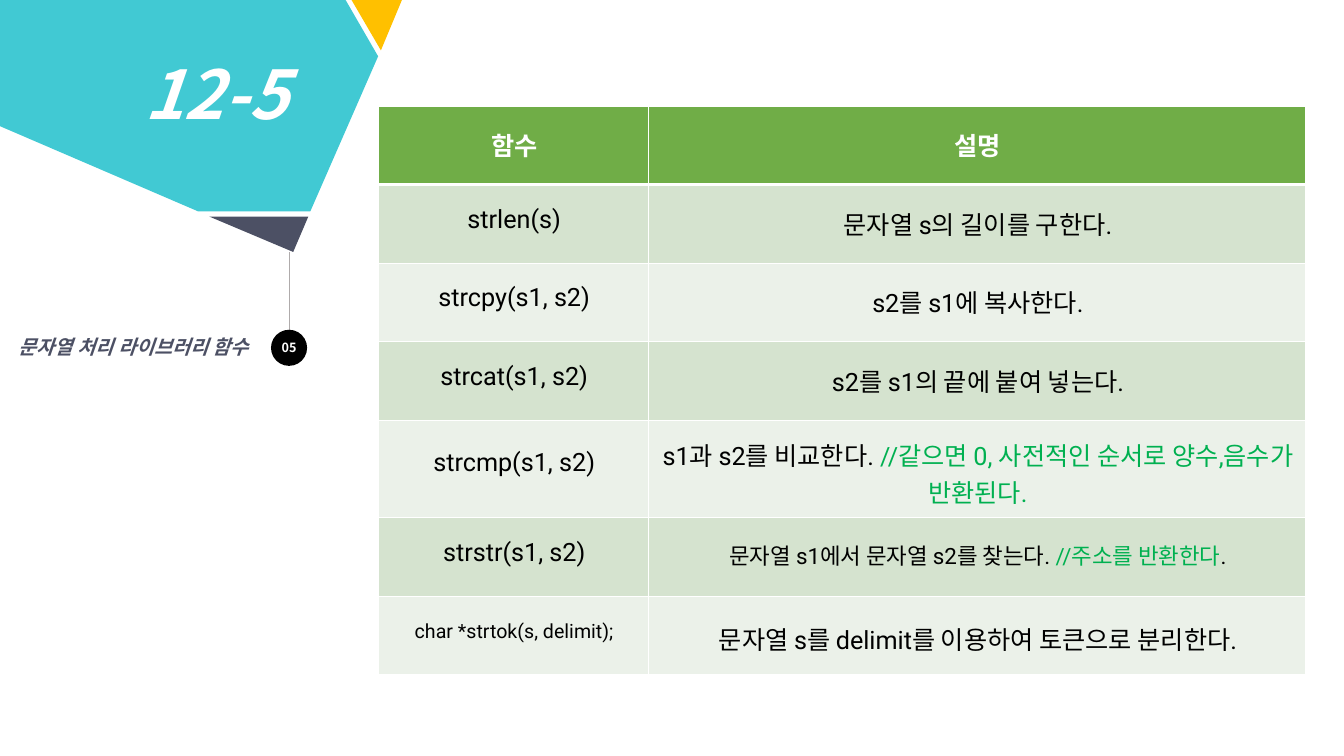
"""Build a slide with a table of C string library functions."""
import pptx
import pptx.dml.color
import pptx.enum.shapes
import pptx.enum.text
import pptx.oxml
import pptx.oxml.ns
import pptx.util
from lxml import etree

Cm = pptx.util.Cm
Pt = pptx.util.Pt
Align = pptx.enum.text.PP_ALIGN


class Theme:
    white, black, grey = "FFFFFF", "000000", "AFABAB"
    teal, gold, navy = "41C9D3", "FFC000", "4C5064"
    head, bands, note = "70AD47", ("D5E3CF", "EBF1E9"), "00B050"
    sans, hangul = "Roboto", "Noto Sans CJK KR"
    title, body, small, label, badge = 48, 18, 16, 14, 9


def paint(fill, color):
    fill.solid()
    fill.fore_color.rgb = pptx.dml.color.RGBColor.from_string(color)


def style(run, size, color, face=Theme.hangul, bold=True, slant=False):
    font = run.font
    font.size, font.name, font.bold, font.italic = Pt(size), face, bold, slant
    paint(font.fill, color)
    east = etree.SubElement(run._r.get_or_add_rPr(), pptx.oxml.ns.qn("a:ea"))
    east.set("typeface", Theme.hangul)


deck = pptx.Presentation()
deck.slide_width, deck.slide_height = Cm(33.87), Cm(19.05)
slide = deck.slides.add_slide(deck.slide_layouts[6])
shapes = slide.shapes

stem = shapes.add_connector(
    pptx.enum.shapes.MSO_CONNECTOR.STRAIGHT, Cm(7.29), Cm(6.35), Cm(7.29), Cm(9.22))
paint(stem.line.fill, Theme.grey)
stem.line.width = Pt(0.5)
etree.SubElement(stem._element.spPr, pptx.oxml.ns.qn("a:effectLst"))

shards = [
    (Theme.gold, [(886, 0), (1019, 0), (1013, 0), (960, 127)]),
    (Theme.teal, [(0, 0), (871, 0), (953, 142), (782, 533), (500, 533), (0, 318)]),
    (Theme.navy, [(528, 546), (777, 546), (739, 635)]),
]
for color, points in shards:
    pen = shapes.build_freeform(*points[0], scale=Cm(0.01))
    pen.add_line_segments(points[1:], close=True)
    shard = pen.convert_to_shape()
    shard.shadow.inherit = False
    paint(shard.fill, color)
    shard.line.fill.background()

badge = shapes.add_shape(
    pptx.enum.shapes.MSO_SHAPE.OVAL, Cm(6.83), Cm(8.31), Cm(0.91), Cm(0.91))
badge.shadow.inherit = False
paint(badge.fill, Theme.black)
badge.line.fill.background()
frame = badge.text_frame
frame.margin_left = frame.margin_right = frame.margin_top = frame.margin_bottom = 0
frame.vertical_anchor = pptx.enum.text.MSO_ANCHOR.MIDDLE
frame.text = "05"
frame.paragraphs[0].alignment = Align.CENTER
style(frame.paragraphs[0].runs[0], Theme.badge, Theme.white)

texts = [
    ("문자열 처리 라이브러리 함수", (-0.48, 8.31, 7.01, 0.86),
     Theme.label, Theme.navy, Align.RIGHT, True),
    ("12-5", (3.38, 1.19, 4.19, 2.31), Theme.title, Theme.white, Align.LEFT, False),
]
for text, box, size, color, align, wrap in texts:
    frame = shapes.add_textbox(*map(Cm, box)).text_frame
    frame.word_wrap = wrap
    frame.text = text
    frame.paragraphs[0].alignment = align
    style(frame.paragraphs[0].runs[0], size, color, slant=True)

body, small, label = Theme.body, Theme.small, Theme.label
rows = [
    (("함수", body), ("설명", body)),
    (("strlen(s)", body), ("문자열 s의 길이를 구한다.", body)),
    (("strcpy(s1, s2)", body), ("s2를 s1에 복사한다.", body)),
    (("strcat(s1, s2)", body), ("s2를 s1의 끝에 붙여 넣는다.", body)),
    (("strcmp(s1, s2)", body),
     ("s1과 s2를 비교한다. ", body, "//같으면 0, 사전적인 순서로 양수,음수가 반환된다.")),
    (("strstr(s1, s2)", body),
     ("문자열 s1에서 문자열 s2를 찾는다. ", small, "//주소를 반환한다", ".")),
    (("char *strtok(s, delimit);", label),
     ("문자열 s를 delimit를 이용하여 토큰으로 분리한다.", body)),
]
pads = {(4, 0): (0.71, 0.9), (4, 1): (0.41, 0.1), (5, 0): (0.51, 0.41),
        (5, 1): (0.51, 0.41), (6, 0): (0.61, 0.41), (6, 1): (0.61, 0.41)}
high, tall = 1.98, 2.46
grid = shapes.add_table(
    len(rows), 2, Cm(9.53), Cm(2.67), Cm(23.37), Cm(6 * high + tall)).table
for col, width in zip(grid.columns, (6.81, 16.56)):
    col.width = Cm(width)

for r, row in enumerate(rows):
    grid.rows[r].height = Cm(tall if r == 4 else high)
    for c, (text, size, *notes) in enumerate(row):
        cell = grid.cell(r, c)
        top, low = pads.get((r, c), (0.51, 0.1))
        cell.margin_left, cell.margin_right = Cm(0.25), Cm(0.2)
        cell.margin_top, cell.margin_bottom = Cm(top), Cm(low)
        for side in "LRTB":
            thick = (r, side) in ((0, "B"), (1, "T"))
            cell._tc.get_or_add_tcPr().append(pptx.oxml.parse_xml(
                f'<a:ln{side} {pptx.oxml.ns.nsdecls("a")} w="{Pt(3 if thick else 1)}">'
                f'<a:solidFill><a:srgbClr val="{Theme.white}"/></a:solidFill></a:ln{side}>'))
        paint(cell.fill, Theme.bands[(r - 1) % 2] if r else Theme.head)
        para = cell.text_frame.paragraphs[0]
        para.text = text
        para.alignment = Align.CENTER
        for note in notes:
            para.add_run().text = note
        ink = Theme.black if r else Theme.white
        for run, color in zip(para.runs, (ink, Theme.note, ink)):
            style(run, size, color, Theme.sans, bold=r == 0)

deck.save("out.pptx")
